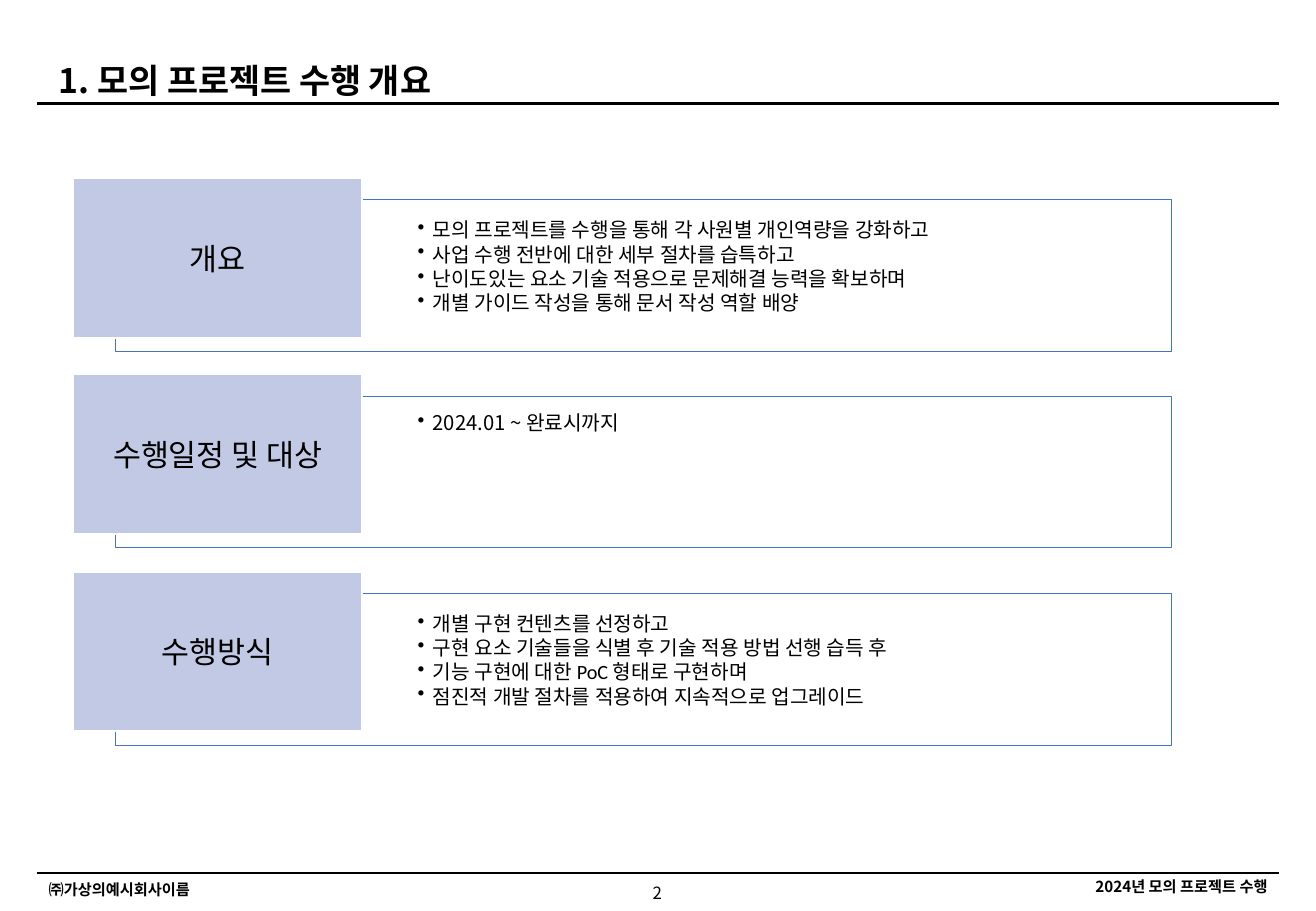
import dataclasses

import lxml.etree
import pptx
import pptx.dml.color
import pptx.enum.shapes
import pptx.enum.text
import pptx.oxml.ns
import pptx.util

PX = 9525  # EMU per px
ALIGN = pptx.enum.text.PP_ALIGN
ANCHOR = pptx.enum.text.MSO_ANCHOR
AUTO_SIZE = pptx.enum.text.MSO_AUTO_SIZE
RECTANGLE = pptx.enum.shapes.MSO_SHAPE.RECTANGLE


@dataclasses.dataclass(frozen=True)
class Theme:
    ink: str = "000000"
    paper: str = "FFFFFF"
    label_fill: str = "C1C9E4"
    frame_line: str = "4472C4"
    frame_opacity: int = 40
    rule_width: float = 1.5
    label_line_width: float = 1
    frame_line_width: float = 0.5
    title_size: int = 20
    label_size: int = 18
    body_size: int = 12
    page_size: int = 10
    footer_size: int = 9
    korean_font: str = "Noto Sans CJK KR"
    latin_font: str = "Calibri"


THEME = Theme()
FOOTER_SPACING = {"space_before": pptx.util.Pt(6), "space_after": pptx.util.Pt(3)}
TITLE_SPACING = {
    "line_spacing": 1.2,
    "space_before": pptx.util.Pt(1.4),
    "space_after": pptx.util.Pt(1.4),
}
BODY_INSETS = {
    "margin_left": 12 * PX,
    "margin_top": 12 * PX,
    "margin_right": 8 * PX,
    "margin_bottom": 12 * PX,
}

# Each bullet is a list of (text, font) runs.
SECTIONS = [
    ("개요", [
        [("모의 프로젝트를 수행을 통해 각 사원별 개인역량을 강화하고", THEME.latin_font)],
        [("사업 수행 전반에 대한 세부 절차를 습특하고", THEME.latin_font)],
        [("난이도있는 요소 기술 적용으로 문제해결 능력을 확보하며", THEME.latin_font)],
        [("개별 가이드 작성을 통해 문서 작성 역할 배양", THEME.latin_font)],
    ]),
    ("수행일정 및 대상", [
        [("2024.01 ~ ", THEME.korean_font), ("완료시까지", THEME.latin_font)],
    ]),
    ("수행방식", [
        [("개별 구현 컨텐츠를 선정하고", THEME.latin_font)],
        [("구현 요소 기술들을 식별 후 기술 적용 방법 선행 습득 후", THEME.latin_font)],
        [("기능 구현에 대한 PoC 형태로 구현하며", THEME.latin_font)],
        [("점진적 개발 절차를 적용하여 지속적으로 업그레이드", THEME.latin_font)],
    ]),
]


def emu(box):
    return [length * PX for length in box]


def rgb(color):
    return pptx.dml.color.RGBColor.from_string(color)


def apply_format(target, values):
    for name, value in values.items():
        setattr(target, name, value)


def add_run(paragraph, text, size, font, bold=False):
    run = paragraph.add_run()
    run.text = text
    apply_format(run.font, {"size": pptx.util.Pt(size), "name": font, "bold": bold})
    run.font.color.rgb = rgb(THEME.ink)


def indent(paragraph, left, first=0):
    properties = paragraph._p.get_or_add_pPr()
    properties.set("marL", str(left * PX))
    properties.set("indent", str(first * PX))
    return properties


def add_bullet(paragraph):
    properties = indent(paragraph, 12, -15)
    bullet = lxml.etree.SubElement(properties, pptx.oxml.ns.qn("a:buChar"))
    bullet.set("char", "•")


def add_line_of_text(slide, box, text, size, bold=True, paragraph_format=None):
    frame = slide.shapes.add_textbox(*emu(box)).text_frame
    apply_format(frame, {"word_wrap": True, "auto_size": AUTO_SIZE.SHAPE_TO_FIT_TEXT})
    paragraph = frame.paragraphs[0]
    apply_format(paragraph, paragraph_format or {})
    add_run(paragraph, text, size, THEME.korean_font, bold)
    return paragraph


def add_rule(slide, left, right, y):
    rule = slide.shapes.add_connector(
        pptx.enum.shapes.MSO_CONNECTOR.STRAIGHT, *emu((left, y, right, y)))
    rule.line.color.rgb = rgb(THEME.ink)
    rule.line.width = pptx.util.Pt(THEME.rule_width)
    lxml.etree.SubElement(rule._element.spPr, pptx.oxml.ns.qn("a:effectLst"))


def add_rectangle(shapes, box, fill, line, line_width):
    rectangle = shapes.add_shape(RECTANGLE, *emu(box))
    rectangle.shadow.inherit = False
    rectangle.fill.solid()
    rectangle.fill.fore_color.rgb = rgb(fill)
    rectangle.line.color.rgb = rgb(line)
    rectangle.line.width = pptx.util.Pt(line_width)
    return rectangle


def set_opacity(shape, percent):
    color = shape._element.spPr.find(
        pptx.oxml.ns.qn("a:solidFill")).find(pptx.oxml.ns.qn("a:srgbClr"))
    alpha = lxml.etree.SubElement(color, pptx.oxml.ns.qn("a:alpha"))
    alpha.set("val", str(percent * 1000))


def add_header(slide, box):
    left, top, width, height = box
    add_rule(slide, left, left + width, top + height)
    title = add_line_of_text(
        slide, (left + 1, top, 323, height), "1. 모의 프로젝트 수행 개요",
        THEME.title_size, paragraph_format=TITLE_SPACING)
    indent(title, 7)


def add_footer(slide, box):
    left, top, width, height = box
    right = left + width
    add_rule(slide, left, right, top)
    add_line_of_text(slide, (left, top + 1, 342, 24), "㈜가상의예시회사이름",
                     THEME.footer_size, paragraph_format=FOOTER_SPACING)
    add_line_of_text(slide, (right - 332, top - 1, 332, 24), "2024년 모의 프로젝트 수행",
                     THEME.footer_size,
                     paragraph_format={"alignment": ALIGN.RIGHT, **FOOTER_SPACING})
    add_line_of_text(slide, (left + (width - 53) // 2, top + 3, 53, height - 3), "2",
                     THEME.page_size, bold=False,
                     paragraph_format={"alignment": ALIGN.CENTER})


def add_section(slide, box, heading, bullets):
    """Place an outlined panel with its heading block over the top left corner."""
    left, top, width, height = box
    shapes = slide.shapes.add_group_shape().shapes

    panel = add_rectangle(shapes, (left + 33, top + 17, width - 33, height - 17),
                          THEME.paper, THEME.frame_line, THEME.frame_line_width)
    set_opacity(panel, THEME.frame_opacity)

    label = add_rectangle(shapes, (left, top, 228, 126),
                          THEME.label_fill, THEME.paper, THEME.label_line_width)
    label.text_frame.word_wrap = True
    label.text_frame.vertical_anchor = ANCHOR.MIDDLE
    caption = label.text_frame.paragraphs[0]
    caption.alignment = ALIGN.CENTER
    add_run(caption, heading, THEME.label_size, THEME.latin_font)

    details = shapes.add_textbox(*emu((left + 260, top + 19, 529, 113))).text_frame
    apply_format(details, {"word_wrap": True, **BODY_INSETS})
    for index, runs in enumerate(bullets):
        paragraph = details.add_paragraph() if index else details.paragraphs[0]
        add_bullet(paragraph)
        for text, font in runs:
            add_run(paragraph, text, THEME.body_size, font)


def add_sections(slide, box):
    left, top, width, height = box
    for index, (heading, bullets) in enumerate(SECTIONS):
        section_top = top + round(index * height / len(SECTIONS))
        add_section(slide, (left, section_top, width, 137), heading, bullets)


def main():
    presentation = pptx.Presentation()
    presentation.slide_width, presentation.slide_height = emu((1040, 720))
    slide = presentation.slides.add_slide(presentation.slide_layouts[6])
    add_footer(slide, (29, 690, 982, 29))
    add_header(slide, (29, 36, 982, 46))
    add_sections(slide, (58, 141, 868, 466))
    presentation.save("out.pptx")


if __name__ == "__main__":
    main()
